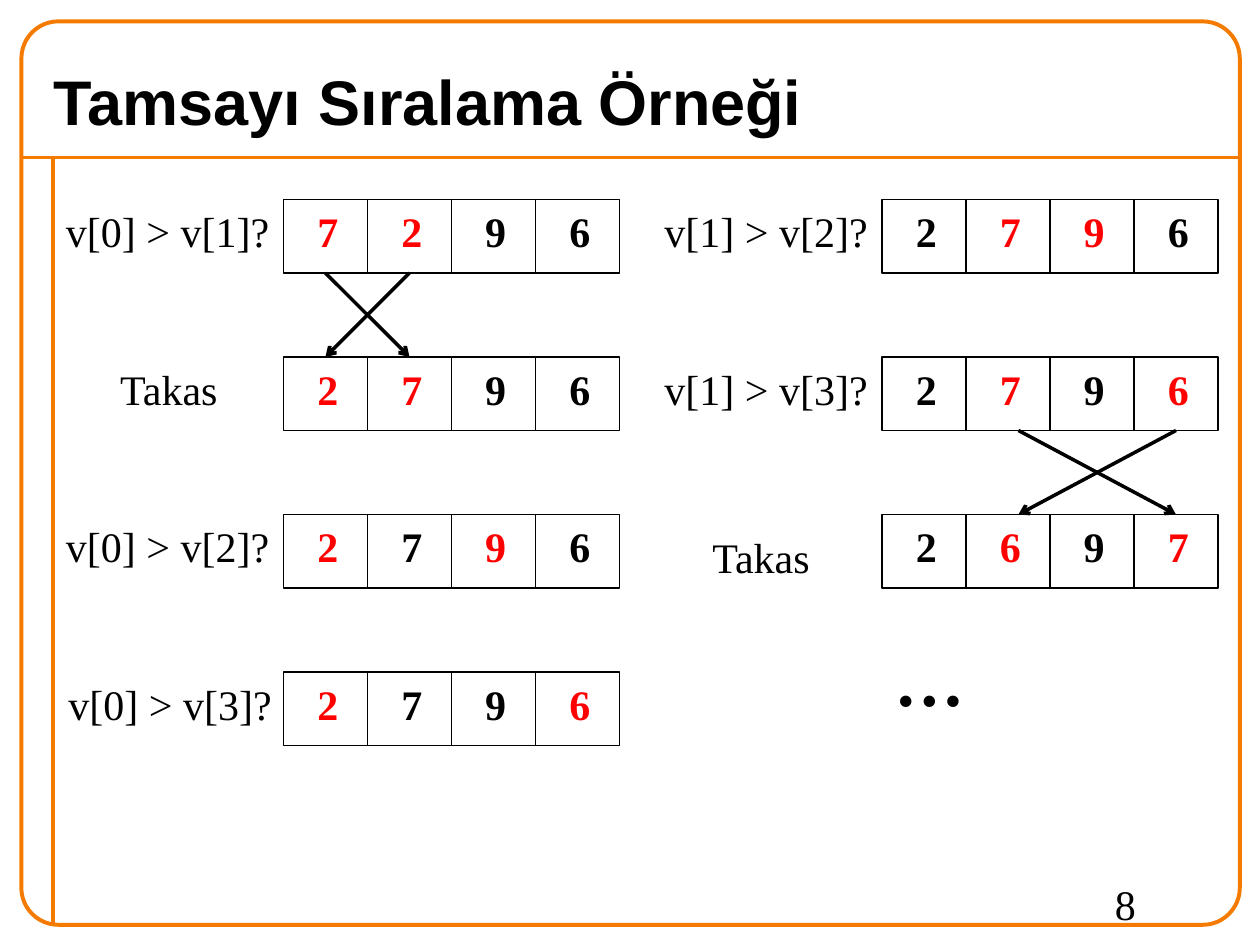
import pptx
import pptx.dml.color
import pptx.enum.shapes
import pptx.enum.text
import pptx.oxml.ns
import pptx.util
from lxml import etree

ORANGE = pptx.dml.color.RGBColor(0xF4, 0x7A, 0x00)
BLACK = pptx.dml.color.RGBColor(0, 0, 0)
RED = pptx.dml.color.RGBColor(0xFF, 0, 0)
SHAPES = pptx.enum.shapes.MSO_SHAPE
ANCHORS = pptx.enum.text.MSO_ANCHOR
ALIGN = pptx.enum.text.PP_ALIGN
SERIF = "Times New Roman"

# Content: (column, row), label, digits, compared positions
TITLE = "Tamsayı Sıralama Örneği"
PAGE_NUMBER = "8"
STEPS = [
    ((0, 0), "v[0] > v[1]?", "7296", (0, 1)),
    ((0, 1), "Takas", "2796", (0, 1)),
    ((0, 2), "v[0] > v[2]?", "2796", (0, 2)),
    ((0, 3), "v[0] > v[3]?", "2796", (0, 3)),
    ((1, 0), "v[1] > v[2]?", "2796", (1, 2)),
    ((1, 1), "v[1] > v[3]?", "2796", (1, 3)),
    ((1, 2), "Takas", "2697", (1, 3)),
]
LABEL_SHIFTS = {(0, 1): (0.01, 0), (0, 3): (0.02, 0), (1, 2): (-0.04, 0.09)}
# Swaps: step above, step below, positions, inward shift of the left ends
SWAPS = [((0, 0), (0, 1), (0, 1), 0), ((1, 1), (1, 2), (1, 3), 1)]

# Grid in units of a twelfth of an inch
UNIT = 1 / 12
CELL_W, CELL_H = 8 * UNIT, 7 * UNIT
FIRST_LEFT, COLUMN_STEP = 27 * UNIT, 57 * UNIT
FIRST_TOP, ROW_STEP = 19 * UNIT, 15 * UNIT
LABEL_CENTRE = -0.92
LABEL_WIDTHS = {"Takas": 0.99}

inches = pptx.util.Inches
prs = pptx.Presentation()
prs.slide_width, prs.slide_height = inches(10), inches(7.5)
slide = prs.slides.add_slide(prs.slide_layouts[6])


def add_text(text, left, top, width, height, size=24, font=SERIF, bold=False,
             color=BLACK, align=ALIGN.CENTER, wrap=False, anchor=ANCHORS.TOP):
    box = slide.shapes.add_textbox(*map(inches, (left, top, width, height)))
    frame = box.text_frame
    frame.word_wrap = wrap
    frame.vertical_anchor = anchor
    if not wrap:
        frame.auto_size = pptx.enum.text.MSO_AUTO_SIZE.SHAPE_TO_FIT_TEXT
    paragraph = frame.paragraphs[0]
    paragraph.text = text
    paragraph.alignment = align
    paragraph.font.size = pptx.util.Pt(size)
    paragraph.font.name = font
    paragraph.font.bold = bold
    paragraph.font.color.rgb = color


def add_box(shapes, kind, left, top, width, height, color, weight):
    box = shapes.add_shape(kind, *map(inches, (left, top, width, height)))
    box.shadow.inherit = False
    box.fill.background()
    box.line.color.rgb = color
    box.line.width = pptx.util.Pt(weight)
    return box


def add_line(x1, y1, x2, y2, color, weight, arrow=False):
    line = slide.shapes.add_connector(
        pptx.enum.shapes.MSO_CONNECTOR.STRAIGHT, *map(inches, (x1, y1, x2, y2)))
    line.line.color.rgb = color
    line.line.width = pptx.util.Pt(weight)
    qn = pptx.oxml.ns.qn
    if arrow:
        etree.SubElement(line.line._get_or_add_ln(), qn("a:tailEnd"), type="arrow")
    etree.SubElement(line._element.spPr, qn("a:effectLst"))
    return line


def array_corner(place):
    column, row = place
    return FIRST_LEFT + column * COLUMN_STEP, FIRST_TOP + row * ROW_STEP


# Frame, rules and title
add_line(0.17, 1.25, 9.83, 1.25, ORANGE, 2.25)
add_line(0.42, 1.25, 0.42, 7.33, ORANGE, 2.25)
border = add_box(slide.shapes, SHAPES.ROUNDED_RECTANGLE,
                 0.17, 0.17, 9.67, 7.17, ORANGE, 2.25)
border.adjustments[0] = 0.041
add_text(TITLE, 0.33, 0.42, 9.33, 0.75, size=36, font="Arial", bold=True,
         align=ALIGN.LEFT, wrap=True, anchor=ANCHORS.MIDDLE)

# Arrays with their labels
cells = {}
for place, label, digits, compared in STEPS:
    left, top = array_corner(place)
    array = slide.shapes.add_group_shape()
    cells[place] = [
        add_box(array.shapes, SHAPES.RECTANGLE, left + i * CELL_W, top,
                CELL_W, CELL_H, BLACK, 0.75)
        for i in range(len(digits))]
    for i, digit in enumerate(digits):
        add_text(digit, left + i * CELL_W + 0.17, top, 0.36, 0.5, bold=True,
                 color=RED if i in compared else BLACK)
    dx, dy = LABEL_SHIFTS.get(place, (0, 0))
    width = LABEL_WIDTHS.get(label, 1.81)
    add_text(label, left + LABEL_CENTRE - width / 2 + dx, top + dy, width, 0.5)

# Crossing swap arrows
for above, below, (first, second), shift in SWAPS:
    left, top = array_corner(above)
    centres = {first: left + (first + 0.5) * CELL_W + shift * UNIT,
               second: left + (second + 0.5) * CELL_W}
    for start, end in ((second, first), (first, second)):
        arrow = add_line(centres[start], top + CELL_H,
                         centres[end], top + ROW_STEP, BLACK, 2, arrow=True)
        if not (shift and start == first):
            arrow.begin_connect(cells[above][start], 2)
        if not (shift and end == first):
            arrow.end_connect(cells[below][end], 0)

# Continuation mark and page number
add_text("…", 7, 5, 0.75, 0.77, size=40, bold=True)
add_text(PAGE_NUMBER, 8.75, 6.92, 1, 0.5, align=ALIGN.LEFT, wrap=True)

prs.save("out.pptx")
